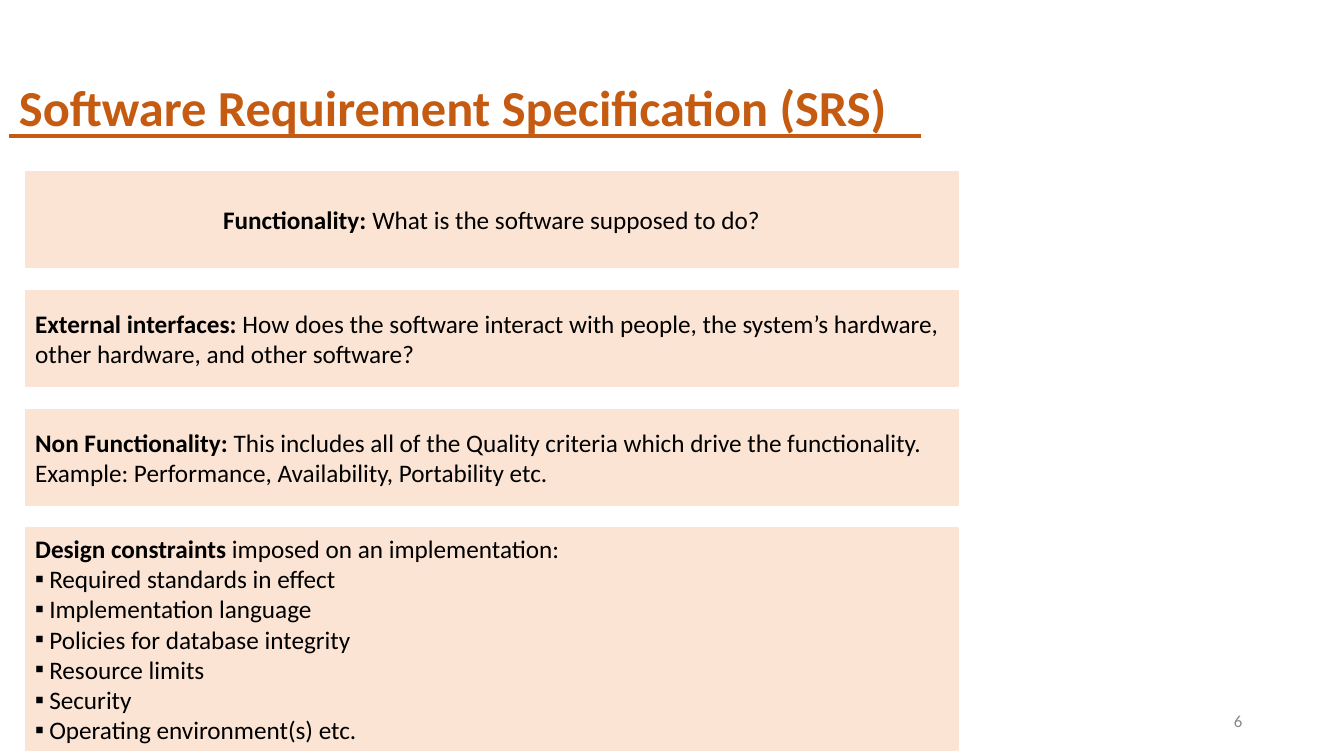
from dataclasses import dataclass

import pptx
import pptx.dml.color
import pptx.enum.shapes
import pptx.enum.text
import pptx.oxml.ns
import pptx.presentation
import pptx.slide
import pptx.text.text
import pptx.util
from lxml import etree

Inches = pptx.util.Inches
Align = pptx.enum.text.PP_ALIGN
Anchor = pptx.enum.text.MSO_ANCHOR


@dataclass(frozen=True)
class Theme:
    font: str = "Calibri"
    accent: str = "C55A11"
    panel: str = "FBE4D4"
    ink: str = "000000"
    muted: str = "888888"
    title_size: int = 36
    body_size: int = 18
    number_size: int = 12


@dataclass(frozen=True)
class Panel:
    heading: str
    detail: str
    continuation: str = ""
    bullets: tuple[str, ...] = ()
    height: float = 0.95
    align: Align = Align.LEFT


THEME = Theme()
PANEL_LEFT, PANEL_TOP, PANEL_WIDTH, PANEL_GAP = 0.25, 1.7, 9.25, 0.23
BULLET_INDENT = 0.14

PANELS = (
    Panel("Functionality: ", "What is the software supposed to do?", align=Align.CENTER),
    Panel(
        "External interfaces: ",
        "How does the software interact with people, the system’s hardware,",
        continuation="other hardware, and other software?",
    ),
    Panel(
        "Non Functionality: ",
        "This includes all of the Quality criteria which drive the functionality. "
        "Example: Performance, Availability, Portability etc.",
    ),
    Panel(
        "Design constraints ",
        "imposed on an implementation:",
        bullets=(
            "Required standards in effect",
            "Implementation language",
            "Policies for database integrity",
            "Resource limits",
            "Security",
            "Operating environment(s) etc.",
        ),
        height=2.2,
    ),
)


def rgb(value: str) -> pptx.dml.color.RGBColor:
    return pptx.dml.color.RGBColor.from_string(value)


def add_run(
    paragraph: pptx.text.text._Paragraph, text: str, size: int, color: str, bold: bool = False
) -> None:
    run = paragraph.add_run()
    run.text = text
    run.font.name = THEME.font
    run.font.size = pptx.util.Pt(size)
    run.font.bold = bold
    run.font.color.rgb = rgb(color)


def add_label(
    slide: pptx.slide.Slide,
    box: tuple[float, float, float, float],
    text: str,
    size: int,
    color: str,
    bold: bool = False,
    align: Align = Align.LEFT,
    anchor: Anchor = Anchor.TOP,
) -> None:
    frame = slide.shapes.add_textbox(*map(Inches, box)).text_frame
    frame.word_wrap = True
    frame.vertical_anchor = anchor
    frame.paragraphs[0].alignment = align
    add_run(frame.paragraphs[0], text, size, color, bold)


def add_title_rule(slide: pptx.slide.Slide, left: float, right: float, y: float) -> None:
    rule = slide.shapes.add_connector(
        pptx.enum.shapes.MSO_CONNECTOR.STRAIGHT, Inches(left), Inches(y), Inches(right), Inches(y)
    )
    rule.line.color.rgb = rgb(THEME.accent)
    rule.line.width = pptx.util.Pt(3)
    etree.SubElement(rule._element.spPr, pptx.oxml.ns.qn("a:effectLst"))


def set_bullet(paragraph: pptx.text.text._Paragraph) -> None:
    """Give the paragraph a small square bullet with a hanging indent."""
    properties = paragraph._p.get_or_add_pPr()
    indent = Inches(BULLET_INDENT)
    properties.set("marL", str(indent))
    properties.set("indent", str(-indent))
    etree.SubElement(properties, pptx.oxml.ns.qn("a:buFont"), typeface=THEME.font)
    etree.SubElement(properties, pptx.oxml.ns.qn("a:buChar"), char="▪")


def add_panel(slide: pptx.slide.Slide, panel: Panel, top: float) -> None:
    box = slide.shapes.add_shape(
        pptx.enum.shapes.MSO_SHAPE.RECTANGLE,
        Inches(PANEL_LEFT), Inches(top), Inches(PANEL_WIDTH), Inches(panel.height),
    )
    box.shadow.inherit = False
    box.fill.solid()
    box.fill.fore_color.rgb = rgb(THEME.panel)
    box.line.color.rgb = rgb(THEME.panel)
    box.line.width = pptx.util.Pt(1)

    frame = box.text_frame
    frame.word_wrap = True
    frame.vertical_anchor = Anchor.MIDDLE
    lead = frame.paragraphs[0]
    lead.alignment = panel.align
    add_run(lead, panel.heading, THEME.body_size, THEME.ink, bold=True)
    add_run(lead, panel.detail, THEME.body_size, THEME.ink)
    if panel.continuation:
        following = frame.add_paragraph()
        following.alignment = panel.align
        add_run(following, panel.continuation, THEME.body_size, THEME.ink)
    for bullet in panel.bullets:
        item = frame.add_paragraph()
        item.alignment = panel.align
        set_bullet(item)
        add_run(item, bullet, THEME.body_size, THEME.ink)


def build() -> pptx.presentation.Presentation:
    deck = pptx.Presentation()
    deck.slide_width, deck.slide_height = Inches(13.33), Inches(7.5)
    slide = deck.slides.add_slide(deck.slide_layouts[6])

    add_label(
        slide, (0.09, 0.71, 9.04, 0.5), "Software Requirement Specification (SRS)",
        THEME.title_size, THEME.accent, bold=True,
    )
    add_title_rule(slide, 0.09, 9.13, 1.35)
    add_label(
        slide, (9.42, 6.95, 3, 0.4), "6", THEME.number_size, THEME.muted,
        align=Align.RIGHT, anchor=Anchor.MIDDLE,
    )

    top = PANEL_TOP
    for panel in PANELS:
        add_panel(slide, panel, top)
        top += panel.height + PANEL_GAP
    return deck


if __name__ == "__main__":
    build().save("out.pptx")
